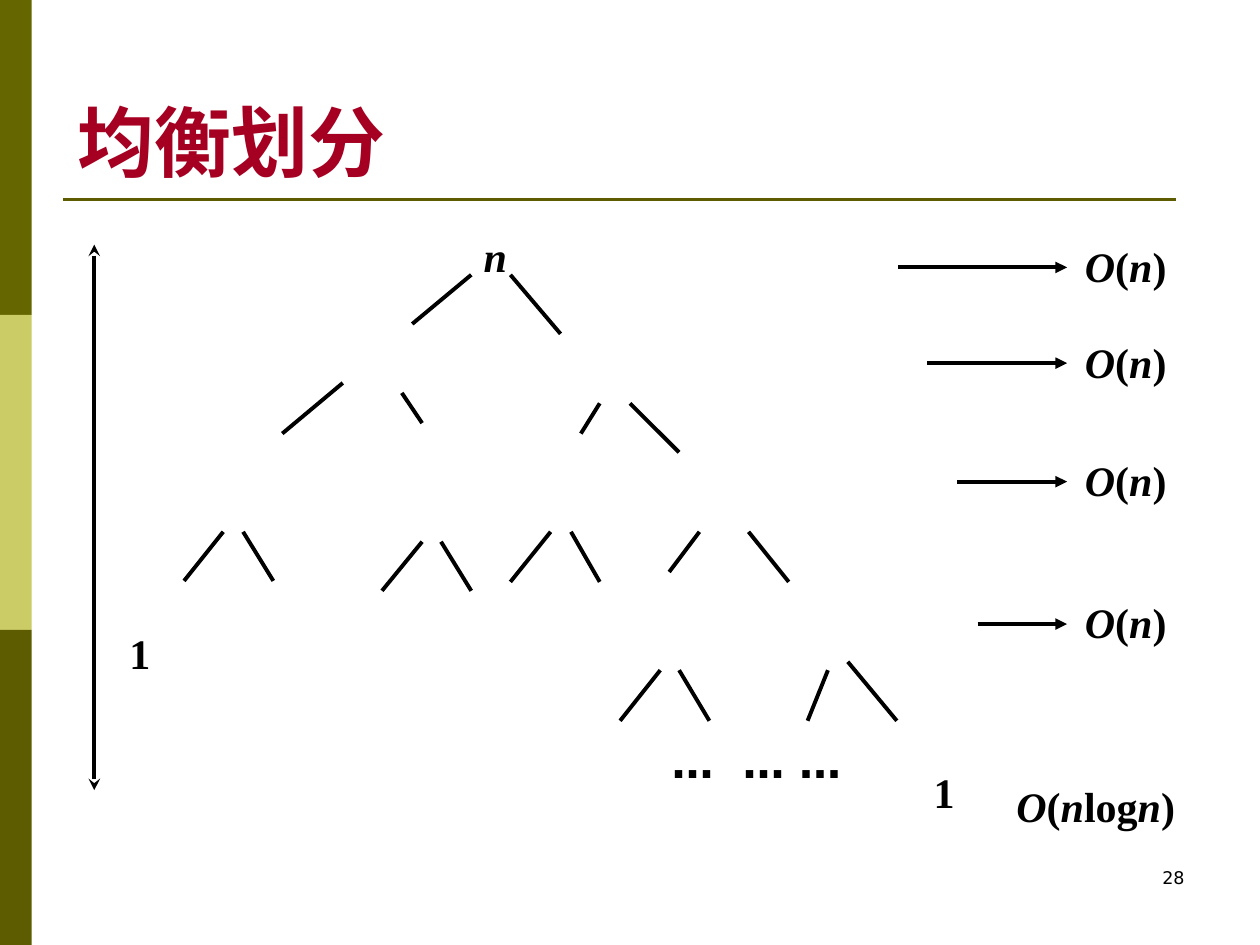
"""Build the slide on the recursion tree of a balanced partition."""
from lxml.etree import SubElement
from pptx import Presentation
from pptx.dml.color import RGBColor
from pptx.enum.shapes import MSO_CONNECTOR as Connector, MSO_SHAPE as Shape
from pptx.enum.text import MSO_ANCHOR as Anchor, MSO_AUTO_SIZE as AutoSize, PP_ALIGN as Align
from pptx.oxml.ns import qn
from pptx.util import Cm, Pt

BLACK = RGBColor(0x00, 0x00, 0x00)
CRIMSON = RGBColor(0xA5, 0x00, 0x21)
OLIVE = RGBColor(0x66, 0x66, 0x00)
LIME = RGBColor(0xCC, 0xCC, 0x66)
DARK_OLIVE = RGBColor(0x5E, 0x5C, 0x00)
SERIF, SANS = "Times New Roman", "DejaVu Sans"

BANDS = [OLIVE, LIME, DARK_OLIVE]
BAND_HEIGHT = 6.35
LEVEL_COSTS = [(18.11, 4.72), (18.69, 6.65), (19.3, 9.04), (19.71, 11.91)]
BRANCHES = [
    (9.5, 5.54, 8.31, 6.53), (10.29, 5.54, 11.3, 6.73),
    (6.91, 7.72, 5.69, 8.74), (8.1, 7.92, 8.51, 8.53),
    (12.09, 8.13, 11.71, 8.74), (12.7, 8.13, 13.69, 9.12),
    (4.5, 10.72, 3.71, 11.71), (4.9, 10.72, 5.51, 11.71),
    (8.51, 10.92, 7.7, 11.91), (8.89, 10.92, 9.5, 11.91),
    (11.1, 10.72, 10.29, 11.73), (11.51, 10.72, 12.09, 11.73),
    (14.1, 10.72, 13.49, 11.53), (15.09, 10.72, 15.9, 11.73),
    (13.31, 13.51, 12.5, 14.53), (13.69, 13.51, 14.3, 14.53),
    (16.69, 13.51, 16.28, 14.53), (17.09, 13.34, 18.08, 14.53),
]


def write_text(frame, text, size=24, font=SERIF, color=BLACK, bold=True,
               align=Align.LEFT, tab=None):
    """Fill the frame with text, setting the parts between asterisks in italics."""
    paragraph = frame.paragraphs[0]
    paragraph.alignment = align
    if tab:
        stops = SubElement(paragraph._p.get_or_add_pPr(), qn("a:tabLst"))
        SubElement(stops, qn("a:tab"), pos=str(Cm(tab)), algn="l")
    for index, part in enumerate(text.split("*")):
        if part:
            run = paragraph.add_run()
            run.text = part
            run.font.size = Pt(size)
            run.font.name = font
            run.font.bold = bold
            run.font.italic = index % 2 == 1
            run.font.color.rgb = color


class SlideBuilder:
    """Hold the current slide and draw its elements in the shared style."""

    line_width = 2.25
    label_height = 1.27

    def __init__(self, slide):
        self.slide = slide

    def title(self, text, left, top, width, height):
        """Place and format the title placeholder."""
        heading = self.slide.shapes.title
        heading.left, heading.top = Cm(left), Cm(top)
        heading.width, heading.height = Cm(width), Cm(height)
        frame = heading.text_frame
        frame.auto_size = AutoSize.NONE
        frame.vertical_anchor = Anchor.BOTTOM
        write_text(frame, text, size=44, color=CRIMSON)

    def band(self, left, top, width, height, color):
        """Draw a plain filled rectangle."""
        band = self.slide.shapes.add_shape(
            Shape.RECTANGLE, Cm(left), Cm(top), Cm(width), Cm(height))
        band.shadow.inherit = False
        band.fill.solid()
        band.fill.fore_color.rgb = color
        band.line.fill.background()

    def label(self, text, left, top, width, **style):
        """Add a text box one line high."""
        box = self.slide.shapes.add_textbox(
            Cm(left), Cm(top), Cm(width), Cm(self.label_height))
        box.text_frame.word_wrap = True
        write_text(box.text_frame, text, **style)

    def line(self, x1, y1, x2, y2, color=BLACK, width=line_width, head=None, tail=None):
        """Draw a straight line with optional arrowheads."""
        line = self.slide.shapes.add_connector(
            Connector.STRAIGHT, Cm(x1), Cm(y1), Cm(x2), Cm(y2))
        line.line.color.rgb = color
        line.line.width = Pt(width)
        outline = line.line._get_or_add_ln()
        for tag, arrow in (("a:headEnd", head), ("a:tailEnd", tail)):
            if arrow:
                SubElement(outline, qn(tag), type=arrow)
        SubElement(line._element.spPr, qn("a:effectLst"))


def main():
    """Assemble and save the slide."""
    deck = Presentation()
    deck.slide_width, deck.slide_height = Cm(25.4), Cm(19.05)
    builder = SlideBuilder(deck.slides.add_slide(deck.slide_layouts[5]))

    for index, color in enumerate(BANDS):
        builder.band(0, index * BAND_HEIGHT, 0.64, BAND_HEIGHT, color)
    builder.line(1.27, 4.02, 23.7, 4.02, color=DARK_OLIVE, width=1.5)
    builder.title("均衡划分", 1.3, 0.71, 22.86, 3.18)
    builder.label("28", 18.21, 17.35, 5.92, size=10, font=SANS, bold=False,
                  align=Align.RIGHT)

    for arrow_start, top in LEVEL_COSTS:
        builder.label("*O*(*n*)", 21.62, top, 2.9)
        builder.line(arrow_start, top + 0.67, 21.51, top + 0.67, tail="triangle")
    builder.label("*O*(*n*log*n*)", 20.24, 15.6, 3.9)

    builder.label("*n*", 9.5, 4.52, 1)
    for branch in BRANCHES:
        builder.line(*branch)
    for leaf_left, leaf_top in [(2.36, 12.52), (18.57, 15.32)]:
        builder.label("1", leaf_left, leaf_top, 0.95)
    builder.label("…\t… …", 13.29, 14.73, 4.2, font=SANS, tab=1.43)
    builder.line(1.9, 4.93, 1.9, 15.93, head="stealth", tail="stealth")

    deck.save("out.pptx")


if __name__ == "__main__":
    main()
